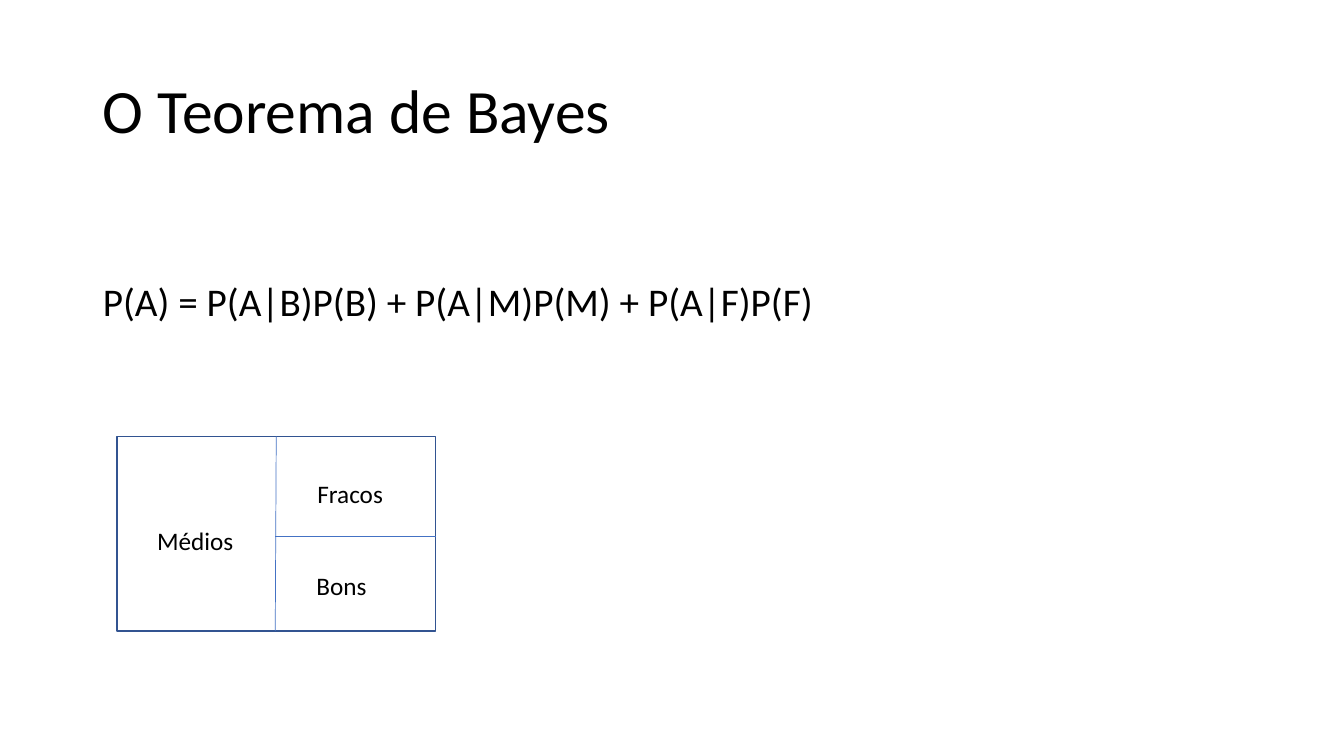
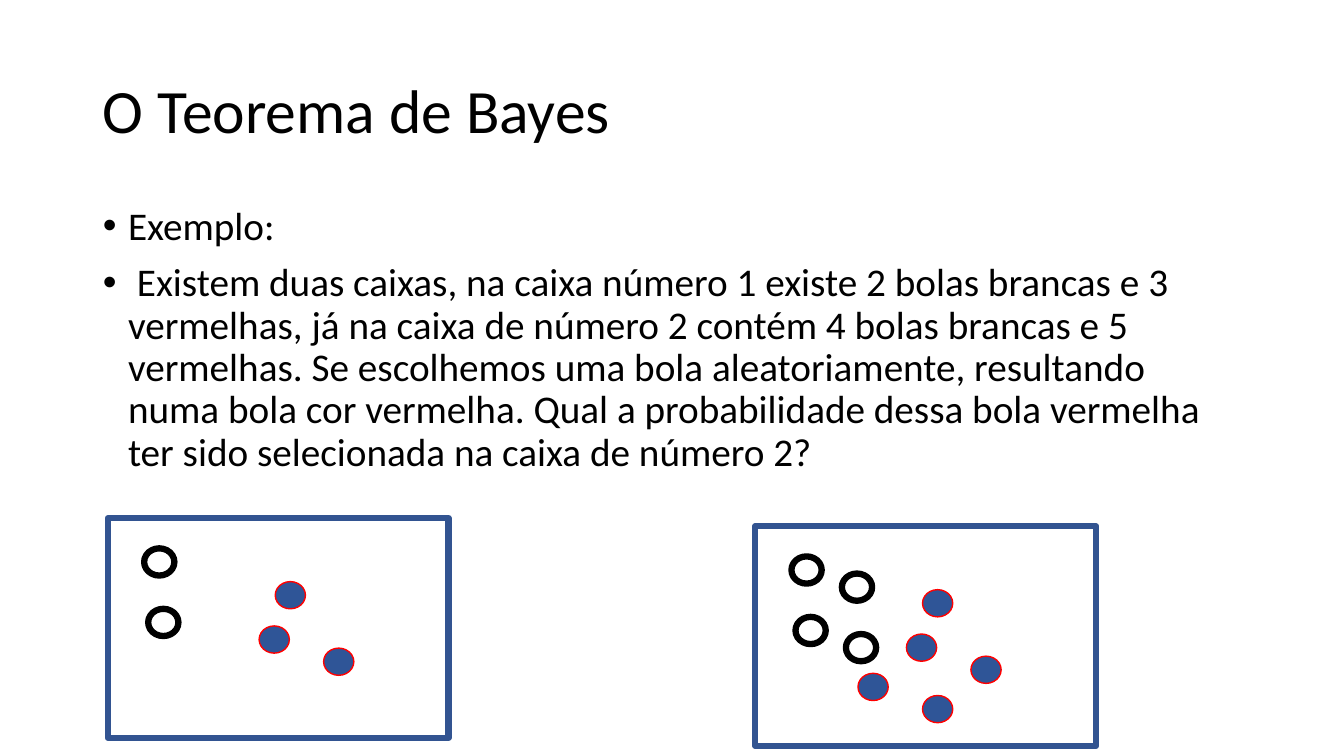
from pptx import Presentation
from pptx.dml.color import RGBColor
from pptx.enum.shapes import MSO_CONNECTOR, MSO_SHAPE
from pptx.enum.text import MSO_ANCHOR, MSO_AUTO_SIZE, PP_ALIGN
from pptx.oxml.ns import qn
from pptx.util import Inches, Pt
from lxml import etree

RECT, OVAL = MSO_SHAPE.RECTANGLE, MSO_SHAPE.OVAL
LINE = MSO_CONNECTOR.STRAIGHT
LEFT = PP_ALIGN.LEFT
TOP, MIDDLE = MSO_ANCHOR.TOP, MSO_ANCHOR.MIDDLE
FIXED = MSO_AUTO_SIZE.NONE

FONT = "Calibri"
BLACK, BLUE, FRAME, RED, WIRE = "000000", "2F5597", "325491", "FF0000", "4472C4"
EDGE, WIDE = 0.92, 11.5


def tint(code):
    return RGBColor.from_string(code)


def write(para, text, size=18, color=BLACK, space=None, before=0,
          indent=None, bullet=True):
    """Put formatted text in a paragraph."""
    run = para.add_run()
    run.text = text
    run.font.name = FONT
    run.font.size = Pt(size)
    run.font.color.rgb = tint(color)
    para.alignment = LEFT
    para.space_before = Pt(before)
    if space:
        para.line_spacing = space
    props = para._p.get_or_add_pPr()
    if indent is not None:
        props.set("marL", str(Inches(indent)))
        props.set("indent", str(Inches(-indent)))
    if not bullet:
        etree.SubElement(props, qn("a:buNone"))


class Deck:
    def __init__(self):
        self.file = Presentation()
        self.file.slide_width = Inches(13.33)
        self.file.slide_height = Inches(7.5)
        self.slide = None

    def place(self, holder, top, high, anchor):
        holder.left, holder.top = Inches(EDGE), Inches(top)
        holder.width, holder.height = Inches(WIDE), Inches(high)
        frame = holder.text_frame
        frame.word_wrap = True
        frame.auto_size = FIXED
        frame.vertical_anchor = anchor
        return frame

    def page(self, title):
        self.slide = self.file.slides.add_slide(self.file.slide_layouts[1])
        frame = self.place(self.slide.shapes.title, 0.4, 1.45, MIDDLE)
        write(frame.paragraphs[0], title, size=44, space=0.9)

    def body(self, items, top, high, bullet=True):
        frame = self.place(self.slide.placeholders[1], top, high, TOP)
        for i, item in enumerate(items):
            para = frame.add_paragraph() if i else frame.paragraphs[0]
            write(para, item, size=28, space=0.9, before=10,
                  indent=0.25 if bullet else 0, bullet=bullet)

    def shape(self, kind, x, y, w, h, line, width, fill=None):
        item = self.slide.shapes.add_shape(
            kind, Inches(x), Inches(y), Inches(w), Inches(h))
        item.shadow.inherit = False
        item.line.color.rgb = tint(line)
        item.line.width = Pt(width)
        if fill:
            item.fill.solid()
            item.fill.fore_color.rgb = tint(fill)
        else:
            item.fill.background()

    def rule(self, x1, y1, x2, y2):
        item = self.slide.shapes.add_connector(
            LINE, Inches(x1), Inches(y1), Inches(x2), Inches(y2))
        item.line.color.rgb = tint(WIRE)
        item.line.width = Pt(0.5)
        etree.SubElement(item._element.spPr, qn("a:effectLst"))

    def label(self, text, x, y, w):
        item = self.slide.shapes.add_textbox(
            Inches(x), Inches(y), Inches(w), Inches(0.4))
        item.text_frame.word_wrap = False
        write(item.text_frame.paragraphs[0], text)

    def box(self, x, y, whites, reds):
        """Draw a box with balls placed from its corner."""
        self.shape(RECT, x, y, 3.38, 2.18, FRAME, 4.5)
        for dx, dy in whites:
            self.shape(OVAL, x + dx, y + dy, 0.3, 0.27, BLACK, 4.5)
        for dx, dy in reds:
            self.shape(OVAL, x + dx, y + dy, 0.3, 0.27, RED, 1, BLUE)


def shift(spots, dx, dy):
    return [(x + dx, y + dy) for x, y in spots]


def main():
    deck = Deck()
    title = "O Teorema de Bayes"

    # Total probability and the split of the class
    deck.page(title)
    deck.body(["P(A) = P(A|B)P(B) + P(A|M)P(M) + P(A|F)P(F)"],
              2.75, 0.86, bullet=False)
    x, y, w, h = 1.16, 4.33, 3.16, 1.93
    deck.shape(RECT, x, y, w, h, FRAME, 1)
    deck.rule(x + w / 2, y, 2.73, y + h)
    deck.rule(2.73, 5.32, x + w, 5.32)
    for text, left, top, wide in (("Médios", 1.46, 5.16, 0.97),
                                  ("Bons", 3.04, 5.61, 0.7),
                                  ("Fracos", 3.05, 4.7, 0.86)):
        deck.label(text, left, top, wide)

    # Example with two boxes of balls
    deck.page(title)
    deck.body([
        "Exemplo:",
        " Existem duas caixas, na caixa número 1 existe 2 bolas brancas e 3 "
        "vermelhas, já na caixa de número 2 contém 4 bolas brancas e 5 "
        "vermelhas. Se escolhemos uma bola aleatoriamente, resultando numa "
        "bola cor vermelha. Qual a probabilidade dessa bola vermelha ter "
        "sido selecionada na caixa de número 2?",
    ], 2, 2.97)
    whites = [(0.36, 0.3), (0.4, 0.9)]
    reds = [(1.5, 1.07), (2.14, 1.29), (1.66, 0.63)]
    deck.box(1.07, 5.14, whites, reds)
    deck.box(7.49, 5.22, whites + shift(whites, 0.5, 0.17),
             reds + shift(reds[:2], -0.48, 0.39))

    deck.file.save("out.pptx")


if __name__ == "__main__":
    main()
